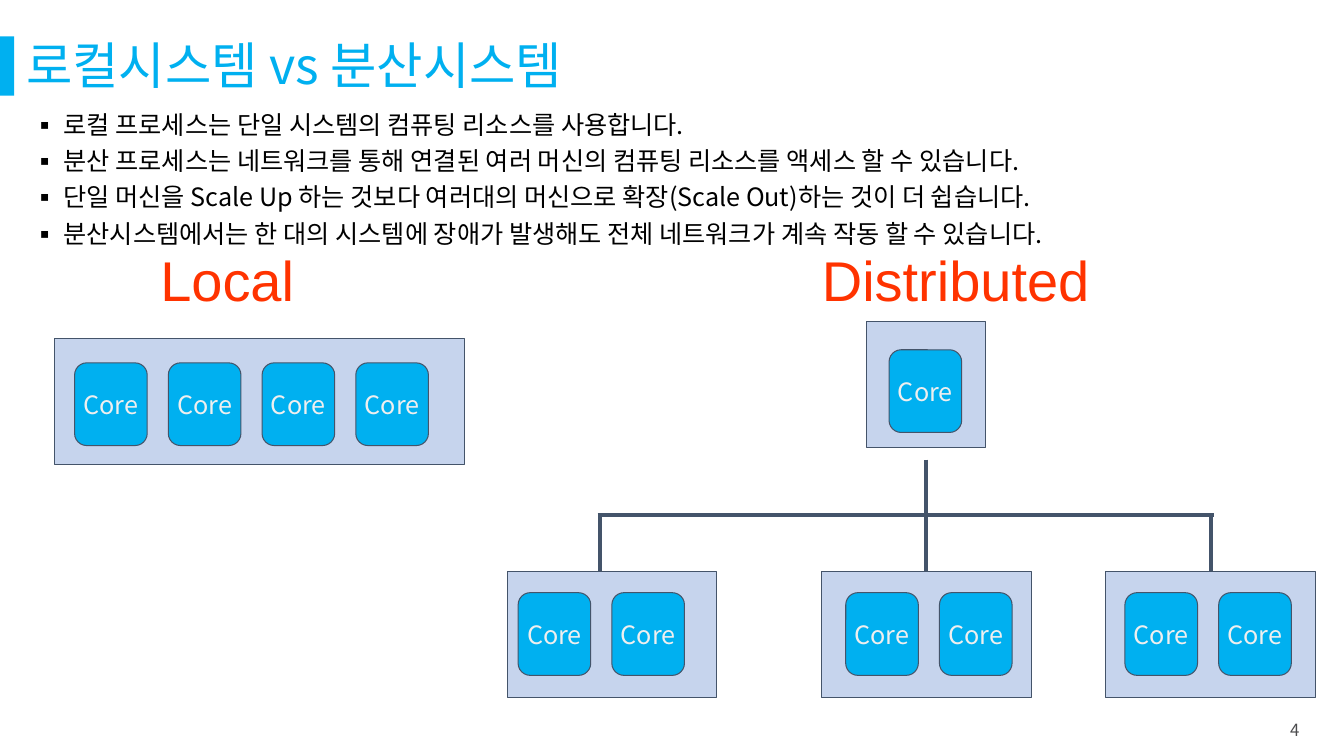
from dataclasses import dataclass
from lxml.etree import SubElement as Sub
from pptx import Presentation
from pptx.dml.color import RGBColor as Rgb
from pptx.enum.shapes import MSO_CONNECTOR as Link, MSO_SHAPE as Form
from pptx.enum.text import MSO_ANCHOR as Anchor, MSO_AUTO_SIZE as Auto, PP_ALIGN as Align
from pptx.oxml.ns import qn
from pptx.util import Inches, Pt


@dataclass(frozen=True)
class Theme:
    sky: str = "00B0F0"
    slate: str = "44546A"
    haze: str = "8FAADC"
    red: str = "FF3300"
    pale: str = "EFEFEF"
    black: str = "000000"
    gray: str = "4C4C4E"
    sans: str = "Noto Sans CJK KR"
    label: str = "Arial"
    title: int = 36
    head: int = 40
    text: int = 18
    page: int = 12
    thin: float = 0.75
    thick: int = 3


T = Theme()
CELL = Inches(0.1)
COLS, ROWS = 133.33, 75
CORE_W, CORE_H, STEP = 7.2, 8.2, 9.3
POINTS = [
    "로컬 프로세스는 단일 시스템의 컴퓨팅 리소스를 사용합니다.",
    "분산 프로세스는 네트워크를 통해 연결된 여러 머신의 컴퓨팅 리소스를 액세스 할 수 있습니다.",
    "단일 머신을 Scale Up 하는 것보다 여러대의 머신으로 확장(Scale Out)하는 것이 더 쉽습니다.",
    "분산시스템에서는 한 대의 시스템에 장애가 발생해도 전체 네트워크가 계속 작동 할 수 있습니다.",
]


def grid(*cells):
    return [round(cell * CELL) for cell in cells]


def place(item, box):
    item.left, item.top, item.width, item.height = grid(*box)


def write(item, lines, size=T.text, color=T.black, font=T.sans, align=Align.LEFT,
          anchor=Anchor.TOP, inset=(1, 0.5), space=None, bullet=None, wrap=True):
    frame = item.text_frame
    frame.word_wrap = wrap
    frame.auto_size = Auto.NONE
    frame.vertical_anchor = anchor
    frame.margin_left, frame.margin_top = grid(*inset)
    frame.margin_right, frame.margin_bottom = grid(*inset)
    for index, line in enumerate(lines):
        para = frame.add_paragraph() if index else frame.paragraphs[0]
        para.alignment = align
        para.space_before = Pt(0)
        if space:
            para.line_spacing = space
        if bullet:
            props = para._p.get_or_add_pPr()
            props.set("marL", str(Inches(0.31)))
            props.set("indent", str(-Inches(0.31)))
            Sub(props, qn("a:buFont"), typeface=T.sans)
            Sub(props, qn("a:buChar"), char=bullet)
        run = para.add_run()
        run.text = line
        run.font.size = Pt(size)
        run.font.color.rgb = Rgb.from_string(color)
        run.font.name = font
        Sub(run._r.get_or_add_rPr(), qn("a:ea"), typeface=font)


def block(slide, form, box, fill, edge=None, alpha=None):
    shape = slide.shapes.add_shape(form, *grid(*box))
    shape.shadow.inherit = False
    shape.fill.solid()
    shape.fill.fore_color.rgb = Rgb.from_string(fill)
    if alpha:
        tint = shape.fill._xPr.find(".//" + qn("a:srgbClr"))
        Sub(tint, qn("a:alpha"), val=str(alpha * 1000))
    if edge:
        shape.line.color.rgb = Rgb.from_string(edge)
        shape.line.width = Pt(T.thin)
    else:
        shape.line.fill.background()
    return shape


def label(slide, box, text, **style):
    write(slide.shapes.add_textbox(*grid(*box)), [text], align=Align.CENTER, **style)


def wire(slide, *ends):
    line = slide.shapes.add_connector(Link.STRAIGHT, *grid(*ends))
    line.line.color.rgb = Rgb.from_string(T.slate)
    line.line.width = Pt(T.thick)
    Sub(line._element.spPr, qn("a:effectLst"))
    return line


def node(slide, box, count, pad):
    frame = block(slide, Form.RECTANGLE, box, T.haze, T.slate, 50)
    for index in range(count):
        spot = box[0] + pad[0] + index * STEP, box[1] + pad[1], CORE_W, CORE_H
        core = block(slide, Form.ROUNDED_RECTANGLE, spot, T.sky, T.slate)
        write(core, ["Core"], color=T.pale, align=Align.CENTER,
              anchor=Anchor.MIDDLE, inset=(0, 0))
    return frame


def header(slide, box):
    x, y, wide, high = box
    block(slide, Form.RECTANGLE, (x, y, 1.4, 5.9), T.sky)
    title, body = slide.placeholders
    place(title, (x + 1.6, y + 0.2, 112.2, 6))
    write(title, ["로컬시스템 vs 분산시스템"], size=T.title, color=T.sky,
          anchor=Anchor.MIDDLE, space=0.9)
    place(body, (x + 2.2, y + 6.1, wide, high - 6.1))
    write(body, POINTS, space=Pt(26), bullet="▪")


def local(slide, box):
    x, y, wide, high = box
    label(slide, (x + 7.5, y, 20.8, 8.9), "Local ", size=T.head, color=T.red,
          font=T.label, inset=(1.3, 1.3))
    node(slide, (x, y + 10.5, wide, high - 10.5), 4, (2, 2.4))


def spread(slide, box):
    x, y, wide, high = box
    label(slide, (x + 27.6, y, 33.8, 8.9), "Distributed", size=T.head, color=T.red,
          font=T.label, inset=(1.3, 1.3))
    stem, bus, base = x + 41.6, y + 28, y + high - 12.5
    wire(slide, stem, bus - 5.5, stem, bus)
    wire(slide, x + 9, bus, x + wide - 10.1, bus)
    wire(slide, x + 9.2, bus, x + 9.2, base - 0.1)
    node(slide, (stem - 5.9, y + 8.8, 11.8, 12.5), 1, (2.2, 2.8))
    node(slide, (x, base, 20.8, 12.5), 2, (1.1, 2.1))
    for left, pad in ((stem - 10.4, 2.4), (x + wide - 20.8, 1.9)):
        frame = node(slide, (left, base, 20.8, 12.5), 2, (pad, 2.1))
        mid = left + 10.4
        wire(slide, mid, bus, mid, base).end_connect(frame, 0)


def main():
    deck = Presentation()
    deck.slide_width, deck.slide_height = grid(COLS, ROWS)
    slide = deck.slides.add_slide(deck.slide_layouts[1])
    header(slide, (0, 3.6, 123.9, 21.7))
    local(slide, (5.4, 23.1, 40.7, 23))
    spread(slide, (50.3, 23.1, 80.2, 46.1))
    label(slide, (126.5, 70.9, 3.9, 3), "4", size=T.page, color=T.gray, wrap=False)
    deck.save("out.pptx")


if __name__ == "__main__":
    main()
